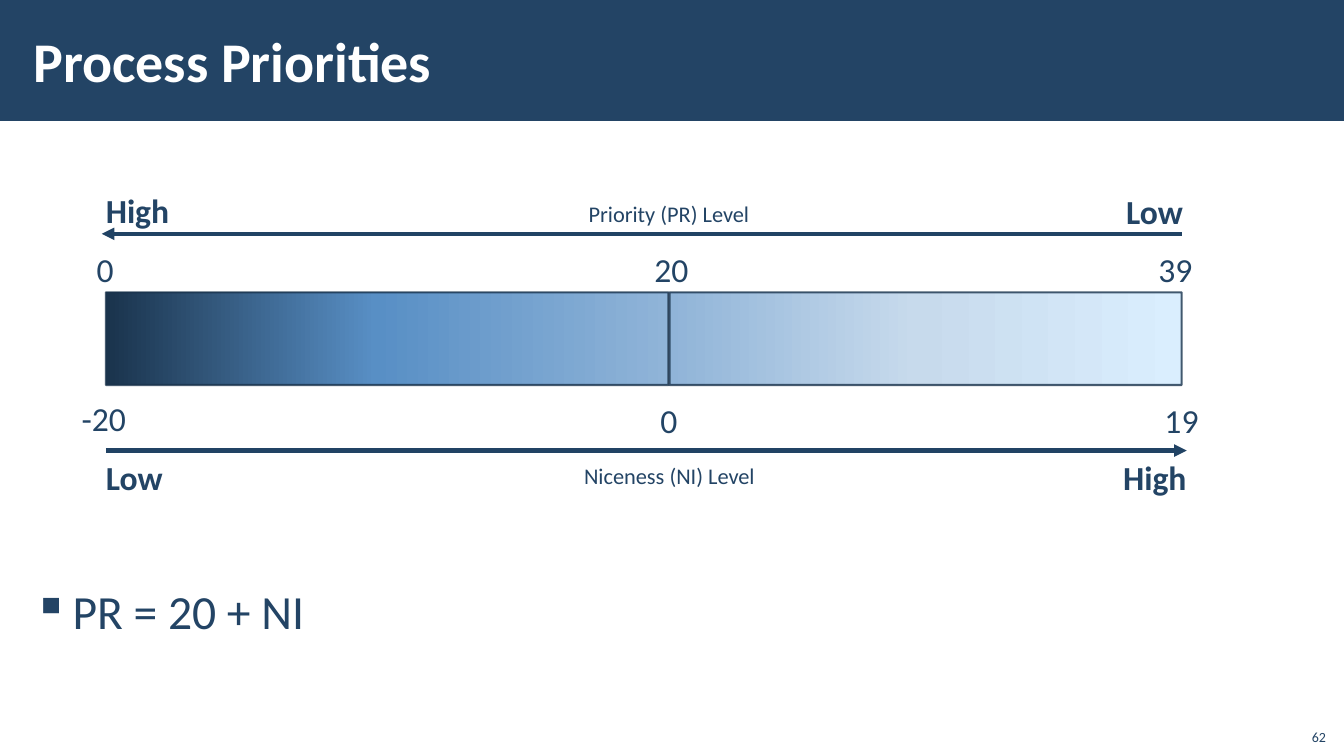
from copy import deepcopy

from lxml.etree import SubElement
from pptx import Presentation
from pptx.dml.color import RGBColor
from pptx.enum.shapes import MSO_CONNECTOR, MSO_SHAPE
from pptx.enum.text import MSO_ANCHOR, MSO_AUTO_SIZE, PP_ALIGN
from pptx.oxml.ns import qn
from pptx.util import Inches, Pt

FONT = "Calibri"
NAVY = RGBColor(0x23, 0x44, 0x65)
ARROW_NAVY = RGBColor(0x21, 0x43, 0x64)
DEEP = RGBColor(0x1A, 0x33, 0x4C)
BLUE = RGBColor(0x58, 0x8F, 0xC5)
MIDDLE = RGBColor(0x90, 0xB4, 0xD8)
PALE = RGBColor(0xC7, 0xDA, 0xEC)
ICE = RGBColor(0xDA, 0xEE, 0xFE)
WHITE = RGBColor(0xFF, 0xFF, 0xFF)


def add_span(para, text, size, color=NAVY, bold=False):
    span = para.add_run()
    span.text = text
    span.font.name = FONT
    span.font.size = Pt(size)
    span.font.bold = bold
    span.font.color.rgb = color


def set_insets(frame, side, edge):
    frame.margin_left = frame.margin_right = Inches(side)
    frame.margin_top = frame.margin_bottom = Inches(edge)


def add_rectangle(page, left, top, width, height):
    box = page.shapes.add_shape(MSO_SHAPE.RECTANGLE, Inches(left), Inches(top),
                                Inches(width), Inches(height))
    box.shadow.inherit = False
    return box


def add_header(page, text):
    band = add_rectangle(page, 0, 0, 13.33, 1.2)
    band.fill.solid()
    band.fill.fore_color.rgb = NAVY
    band.line.fill.background()
    page.shapes._spTree.insert(2, band._element)  # behind the title

    title = page.shapes.title
    title.left, title.top = Inches(0.21), Inches(0.11)
    title.width, title.height = Inches(10.63), Inches(0.97)
    frame = title.text_frame
    set_insets(frame, 0.12, 0.04)
    frame.vertical_anchor = MSO_ANCHOR.MIDDLE
    frame.paragraphs[0].alignment = PP_ALIGN.LEFT
    add_span(frame.paragraphs[0], text, 40, WHITE, True)


def add_scale_half(page, left, width, colors):
    half = add_rectangle(page, left, 2.9, width, 0.92)
    half.fill.gradient()
    half.fill.gradient_angle = 0
    stop_list = half._element.spPr.find(qn("a:gradFill")).find(qn("a:gsLst"))
    stop_list.append(deepcopy(stop_list[0]))
    for stop, position, color in zip(half.fill.gradient_stops, (0, 0.48, 1), colors):
        stop.position = position
        stop.color.rgb = color
    half.line.color.rgb = DEEP
    half.line.width = Pt(1.5)
    line_color = half.line._ln.find(qn("a:solidFill"))[0]
    SubElement(line_color, qn("a:alpha"), val="80000")


def add_arrow(page, start, end, top):
    arrow = page.shapes.add_connector(MSO_CONNECTOR.STRAIGHT, Inches(start), Inches(top),
                                      Inches(end), Inches(top))
    arrow.line.color.rgb = ARROW_NAVY
    arrow.line.width = Pt(3)
    SubElement(arrow.line._ln, qn("a:tailEnd"), type="triangle")
    SubElement(arrow._element.spPr, qn("a:effectLst"))


def add_label(page, text, left, top, width, size=24, bold=False, align=PP_ALIGN.LEFT):
    height = 0.68 if size == 24 else 0.53
    box = page.shapes.add_textbox(Inches(left), Inches(top), Inches(width), Inches(height))
    frame = box.text_frame
    set_insets(frame, 0.16, 0.12)
    frame.word_wrap = False
    frame.auto_size = MSO_AUTO_SIZE.SHAPE_TO_FIT_TEXT
    para = frame.paragraphs[0]
    para.alignment = align
    para.line_spacing = 1.1
    add_span(para, text, size, bold=bold)


def add_bullet(page, text):
    box = page.shapes.add_textbox(Inches(0.21), Inches(5.71), Inches(12.92), Inches(0.7))
    frame = box.text_frame
    frame.word_wrap = True
    set_insets(frame, 0.12, 0.04)
    para = frame.paragraphs[0]
    para.line_spacing = 1.05
    properties = para._p.get_or_add_pPr()
    properties.set("marL", str(Inches(0.39)))
    properties.set("indent", str(-Inches(0.39)))
    SubElement(properties, qn("a:buChar"), char="▪")
    add_span(para, text, 34)


def add_page_number(page, text):
    box = page.shapes.add_textbox(Inches(12.85), Inches(7.12), Inches(0.4), Inches(0.32))
    box.text_frame.word_wrap = True
    box.text_frame.vertical_anchor = MSO_ANCHOR.BOTTOM
    para = box.text_frame.paragraphs[0]
    para.alignment = PP_ALIGN.RIGHT
    add_span(para, text, 10)


def main():
    deck = Presentation()
    deck.slide_width, deck.slide_height = Inches(13.33), Inches(7.5)
    page = deck.slides.add_slide(deck.slide_layouts[5])
    add_header(page, "Process Priorities")

    # Colour scale in two halves
    add_scale_half(page, 1.05, 5.58, (DEEP, BLUE, MIDDLE))
    add_scale_half(page, 6.64, 5.08, (MIDDLE, PALE, ICE))

    # Direction of each level
    add_arrow(page, 11.72, 1.01, 2.32)
    add_arrow(page, 1.05, 11.77, 4.47)

    # Values above and below the scale
    for text, left, top, width in (
        ("0", 0.8, 2.31, 0.46), ("20", 6.33, 2.31, 0.67), ("39", 11.33, 2.31, 0.67),
        ("-20", 0.65, 3.79, 0.83), ("0", 6.39, 3.81, 0.5), ("19", 11.39, 3.81, 0.67),
    ):
        add_label(page, text, left, top, width)

    # Ends and names of the levels
    for text, left, top, width in (
        ("High", 0.89, 1.72, 1), ("Low", 11.01, 1.73, 0.91),
        ("Low", 0.89, 4.37, 0.91), ("High", 10.98, 4.37, 0.96),
    ):
        add_label(page, text, left, top, width, bold=True)
    add_label(page, "Priority (PR) Level", 5.55, 1.84, 2.17, 16, align=PP_ALIGN.CENTER)
    add_label(page, "Niceness (NI) Level", 5.51, 4.44, 2.26, 16, align=PP_ALIGN.CENTER)

    # Formula and page number
    add_bullet(page, "PR = 20 + NI")
    add_page_number(page, "62")
    deck.save("out.pptx")


if __name__ == "__main__":
    main()
